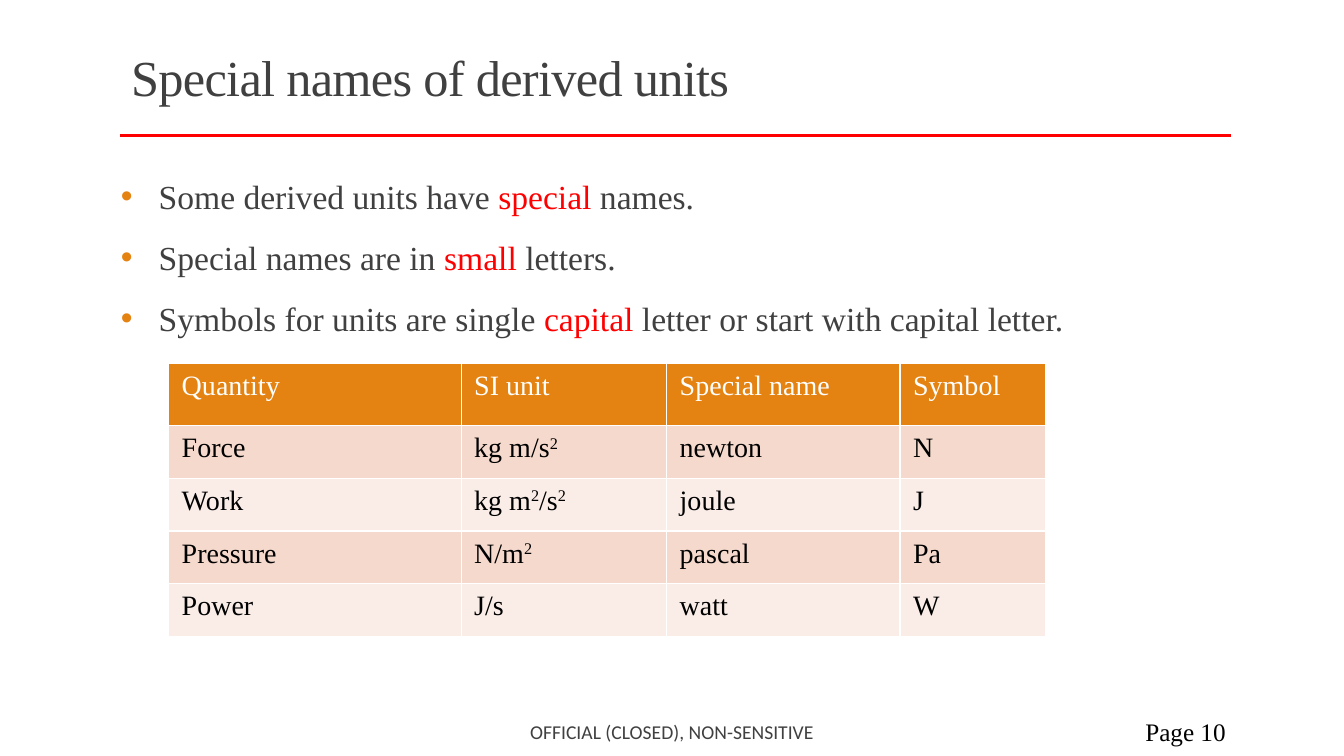
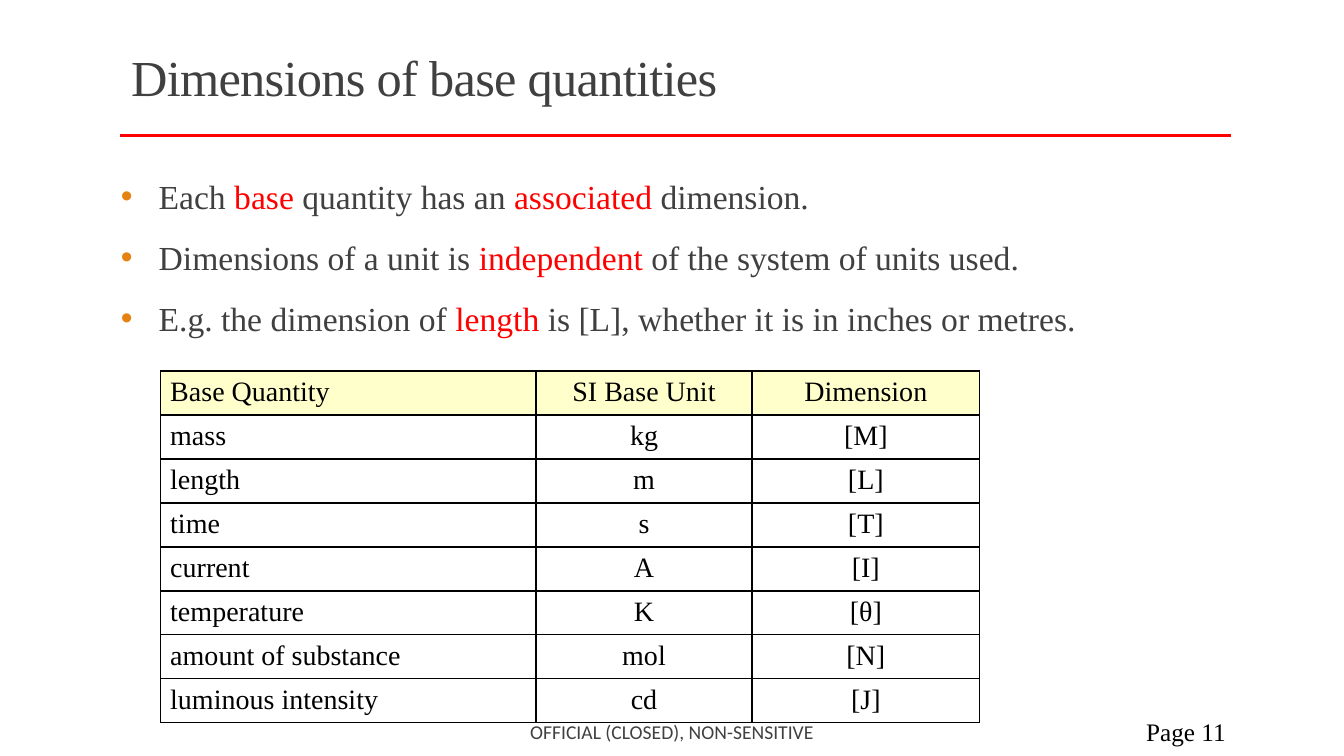
from dataclasses import dataclass

from lxml.etree import SubElement
from pptx import Presentation
from pptx.dml.color import RGBColor
from pptx.enum.shapes import MSO_CONNECTOR
from pptx.enum.text import MSO_ANCHOR, MSO_AUTO_SIZE, PP_ALIGN
from pptx.oxml.ns import qn
from pptx.util import Cm, Pt

COLORS = {
    "text": "404040", "black": "000000", "white": "FFFFFF", "red": "FF0000",
    "orange": "E48312", "dark band": "F5D9CC", "light band": "FAEDE7",
    "cream": "FFFFCC",
}
SERIF, SANS = "Times New Roman", "Calibri"
TITLE_ONLY = 5
FOOTER_TOP, FOOTER_HEIGHT = 17.93, 1.02
MARK = "|"  # encloses red words in bullets and superscripts in cells


@dataclass(frozen=True)
class TableStyle:
    header_fill: str
    header_color: str
    bands: tuple[str, ...]
    border: str
    margins: tuple[float, float]  # horizontal, vertical
    value_align: PP_ALIGN  # every column but the first


@dataclass(frozen=True)
class TableContent:
    left: float
    top: float
    columns: tuple[float, ...]
    header_height: float
    row_height: float
    rows: tuple[tuple[str, ...], ...]
    style: TableStyle


@dataclass(frozen=True)
class PageContent:
    number: int
    title: str
    bullets: tuple[str, ...]
    table: TableContent


BANDED = TableStyle("orange", "white", ("dark band", "light band"), "white",
                    (0.33, 0.18), PP_ALIGN.LEFT)
RULED = TableStyle("cream", "black", ("white",), "black",
                   (0.25, 0.13), PP_ALIGN.CENTER)

PAGES = (
    PageContent(
        10, "Special names of derived units",
        ("Some derived units have |special| names.",
         "Special names are in |small| letters.",
         "Symbols for units are single |capital| letter or start with capital letter."),
        TableContent(4.25, 9.15, (7.37, 5.18, 5.88, 3.68), 1.57, 1.33, (
            ("Quantity", "SI unit", "Special name", "Symbol"),
            ("Force", "kg m/s|2|", "newton", "N"),
            ("Work", "kg m|2|/s|2|", "joule", "J"),
            ("Pressure", "N/m|2|", "pascal", "Pa"),
            ("Power", "J/s", "watt", "W"),
        ), BANDED)),
    PageContent(
        11, "Dimensions of base quantities",
        ("Each |base| quantity has an |associated| dimension.",
         "Dimensions of a unit is |independent| of the system of units used.",
         "E.g. the dimension of |length| is [L], whether it is in inches or metres."),
        TableContent(4.04, 9.35, (9.47, 5.44, 5.74), 1.04, 1.04, (
            ("Base Quantity", "SI Base Unit", "Dimension"),
            ("mass", "kg", "[M]"),
            ("length", "m", "[L]"),
            ("time", "s", "[T]"),
            ("current", "A", "[I]"),
            ("temperature", "K", "[θ]"),
            ("amount of substance", "mol", "[N]"),
            ("luminous intensity", "cd", "[J]"),
        ), RULED)),
)


def rgb(name: str) -> RGBColor:
    return RGBColor.from_string(COLORS[name])


def style_font(font, size: float, color: str, name: str = SERIF) -> None:
    font.name, font.size = name, Pt(size)
    font.color.rgb = rgb(color)


def add_marked_spans(para, text: str) -> list:
    """Add the text as runs and return those that stood between marks."""
    marked = []
    for index, piece in enumerate(text.split(MARK)):
        if piece:
            span = para.add_run()
            span.text = piece
            if index % 2:
                marked.append(span)
    return marked


def add_title(page, text: str) -> None:
    title = page.shapes.title
    title.left, title.top, title.width, title.height = Cm(3.05), Cm(0.79), Cm(27.94), Cm(2.49)
    frame = title.text_frame
    frame.text = text
    frame.auto_size = MSO_AUTO_SIZE.NONE
    frame.vertical_anchor = MSO_ANCHOR.MIDDLE
    para = frame.paragraphs[0]
    para.alignment, para.line_spacing = PP_ALIGN.LEFT, 0.85
    span = para.runs[0]
    style_font(span.font, 36, "text")
    span._r.get_or_add_rPr().set("spc", "-50")


def add_title_rule(page) -> None:
    rule = page.shapes.add_connector(MSO_CONNECTOR.STRAIGHT, Cm(3.03), Cm(3.41), Cm(31.01), Cm(3.41))
    rule.line.color.rgb = rgb("red")
    rule.line.width = Pt(2)
    SubElement(rule._element.spPr, qn("a:effectLst"))


def add_bullet_mark(para) -> None:
    properties = para._p.get_or_add_pPr()
    indent = Cm(0.95)
    properties.set("marL", str(indent))
    properties.set("indent", str(-indent))
    color = SubElement(properties, qn("a:buClr"))
    SubElement(color, qn("a:srgbClr"), val=COLORS["orange"])
    SubElement(properties, qn("a:buFont"), typeface="Arial")
    SubElement(properties, qn("a:buChar"), char="•")


def add_bullets(page, bullets: tuple[str, ...]) -> None:
    box = page.shapes.add_textbox(Cm(3.05), Cm(4.2), Cm(28), Cm(4.7))
    frame = box.text_frame
    frame.word_wrap = True
    frame.margin_left = frame.margin_right = 0
    for index, text in enumerate(bullets):
        para = frame.add_paragraph() if index else frame.paragraphs[0]
        add_bullet_mark(para)
        para.line_spacing, para.space_after = 1.1, Pt(6)
        para.space_before = Pt(6 if index else 0)
        marked = add_marked_spans(para, text)
        for span in para.runs:
            style_font(span.font, 24, "text")
        for span in marked:
            span.font.color.rgb = rgb("red")


def set_borders(cell, color: str) -> None:
    properties = cell._tc.get_or_add_tcPr()
    for side in ("lnL", "lnR", "lnT", "lnB"):
        line = SubElement(properties, qn(f"a:{side}"), w=str(Pt(1)))
        fill = SubElement(line, qn("a:solidFill"))
        SubElement(fill, qn("a:srgbClr"), val=COLORS[color])


def fill_cell(cell, text: str, fill: str, color: str, align: PP_ALIGN, style: TableStyle) -> None:
    set_borders(cell, style.border)
    cell.fill.solid()
    cell.fill.fore_color.rgb = rgb(fill)
    horizontal, vertical = style.margins
    cell.margin_left = cell.margin_right = Cm(horizontal)
    cell.margin_top = cell.margin_bottom = Cm(vertical)
    para = cell.text_frame.paragraphs[0]
    para.alignment = align
    marked = add_marked_spans(para, text)
    for span in para.runs:
        style_font(span.font, 20, color)
    for span in marked:
        span._r.get_or_add_rPr().set("baseline", "30000")


def add_table(page, content: TableContent) -> None:
    style = content.style
    row_count = len(content.rows)
    height = content.header_height + content.row_height * (row_count - 1)
    table = page.shapes.add_table(
        row_count, len(content.columns), Cm(content.left), Cm(content.top),
        Cm(sum(content.columns)), Cm(height)).table
    table.first_row = table.horz_banding = False
    for column, width in zip(table.columns, content.columns):
        column.width = Cm(width)
    for row_index, texts in enumerate(content.rows):
        if row_index == 0:
            row_height, fill, color = content.header_height, style.header_fill, style.header_color
        else:
            row_height, color = content.row_height, "black"
            fill = style.bands[(row_index - 1) % len(style.bands)]
        table.rows[row_index].height = Cm(row_height)
        for column_index, text in enumerate(texts):
            align = style.value_align if column_index else PP_ALIGN.LEFT
            fill_cell(table.cell(row_index, column_index), text, fill, color, align, style)


def add_footer_text(page, text: str, left: float, width: float, align: PP_ALIGN,
                    size: float, color: str, font_name: str) -> None:
    box = page.shapes.add_textbox(Cm(left), Cm(FOOTER_TOP), Cm(width), Cm(FOOTER_HEIGHT))
    frame = box.text_frame
    frame.word_wrap = True
    frame.vertical_anchor = MSO_ANCHOR.MIDDLE
    frame.text = text
    para = frame.paragraphs[0]
    para.alignment = align
    style_font(para.runs[0].font, size, color, font_name)


def add_page(deck, content: PageContent) -> None:
    page = deck.slides.add_slide(deck.slide_layouts[TITLE_ONLY])
    add_title_rule(page)
    add_title(page, content.title)
    add_bullets(page, content.bullets)
    add_table(page, content.table)
    add_footer_text(page, f"Page {content.number}", 27.51, 3.63, PP_ALIGN.RIGHT, 18, "black", SERIF)
    add_footer_text(page, "OFFICIAL (CLOSED), NON-SENSITIVE", 10.24, 13.39,
                    PP_ALIGN.CENTER, 14, "text", SANS)


def main() -> None:
    deck = Presentation()
    deck.slide_width, deck.slide_height = Cm(33.87), Cm(19.05)
    for content in PAGES:
        add_page(deck, content)
    deck.save("out.pptx")


if __name__ == "__main__":
    main()
